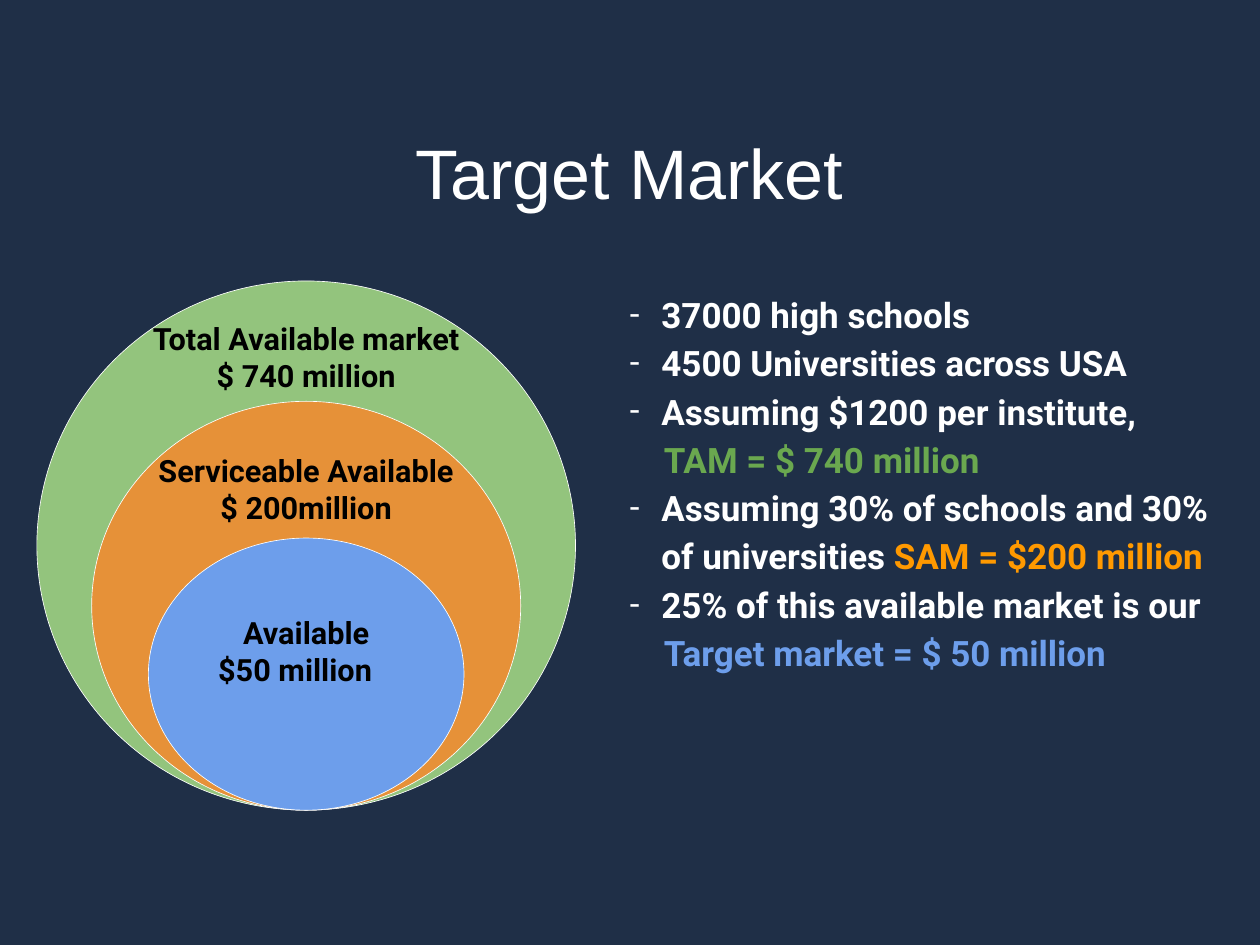
"""Build the Target Market slide with nested market circles and assumptions."""
from dataclasses import dataclass

from lxml import etree
from pptx import Presentation
from pptx import util as u
from pptx.dml.color import RGBColor
from pptx.enum import shapes, text
from pptx.oxml import ns

NAVY = RGBColor(0x1F, 0x2F, 0x47)
WHITE = RGBColor(0xFF, 0xFF, 0xFF)
BLACK = RGBColor(0, 0, 0)
LIGHT_GREEN = RGBColor(0x93, 0xC4, 0x7D)
DARK_ORANGE = RGBColor(0xE6, 0x91, 0x38)
BLUE = RGBColor(0x6D, 0x9E, 0xEB)
GREEN = RGBColor(0x6A, 0xA8, 0x4F)
ORANGE = RGBColor(0xFF, 0x99, 0x00)

CENTER_X = 4.86
RINGS_BOTTOM = 12.86
LEFT, CENTER = text.PP_ALIGN.LEFT, text.PP_ALIGN.CENTER


@dataclass(frozen=True)
class Ring:
    width: float
    height: float
    color: RGBColor


@dataclass(frozen=True)
class Run:
    text: str
    color: RGBColor = WHITE


@dataclass(frozen=True)
class Para:
    runs: tuple[Run, ...]
    align: text.PP_ALIGN = LEFT
    bullet: bool = False
    indent: float = 0
    spacing: float = 1.0


@dataclass(frozen=True)
class Label:
    top: float
    width: float
    paras: tuple[Para, ...]


def label_line(words: str, align: text.PP_ALIGN = CENTER) -> Para:
    return Para((Run(words, BLACK),), align)


def bullet(*runs: Run) -> Para:
    return Para(runs, bullet=True, indent=0.5, spacing=1.15)


def result(words: str, color: RGBColor) -> Para:
    return Para((Run(words, color),), indent=0.54, spacing=1.15)


RINGS = (
    Ring(8.55, 8.4, LIGHT_GREEN),
    Ring(6.81, 6.49, DARK_ORANGE),
    Ring(5.01, 4.32, BLUE),
)
LABELS = (
    Label(4.98, 5.69, (label_line("Total Available market\v$ 740 million"),)),
    Label(7.07, 5.01, (label_line("Serviceable Available $ 200million"),)),
    Label(9.64, 2.99, (label_line("Available"), label_line("$50 million", LEFT))),
)
ASSUMPTIONS = (
    bullet(Run("37000 high schools")),
    bullet(Run("4500 Universities across USA")),
    bullet(Run("Assuming $1200 per institute,")),
    result("TAM = $ 740 million", GREEN),
    bullet(
        Run("Assuming 30% of schools and 30% of universities "),
        Run("SAM = $200 million", ORANGE),
    ),
    bullet(Run("25% of this available market is our")),
    result("Target market = $ 50 million", BLUE),
)


def add_ring(s, ring: Ring) -> None:
    sp = s.shapes.add_shape(
        shapes.MSO_SHAPE.OVAL,
        u.Inches(CENTER_X - ring.width / 2),
        u.Inches(RINGS_BOTTOM - ring.height),
        u.Inches(ring.width),
        u.Inches(ring.height),
    )
    sp.shadow.inherit = False
    sp.fill.solid()
    sp.fill.fore_color.rgb = ring.color
    sp.line.color.rgb = WHITE
    sp.line.width = u.Pt(0.75)


def set_indent(p, para: Para) -> None:
    pPr = p._p.get_or_add_pPr()
    pPr.set("marL", str(u.Inches(para.indent)))
    pPr.set("indent", str(u.Inches(-para.indent if para.bullet else 0)))
    if para.bullet:
        color = etree.SubElement(pPr, ns.qn("a:buClr"))
        etree.SubElement(color, ns.qn("a:srgbClr"), val=str(WHITE))
        etree.SubElement(pPr, ns.qn("a:buFont"), typeface="Roboto")
        etree.SubElement(pPr, ns.qn("a:buChar"), char="-")


def add_text(
    s,
    box: tuple[float, float, float, float],
    paras: tuple[Para, ...],
    size: float,
    font: str = "Roboto",
    bold: bool = True,
    inset: float = 0.1,
    anchor: text.MSO_ANCHOR = text.MSO_ANCHOR.TOP,
) -> None:
    tf = s.shapes.add_textbox(*map(u.Inches, box)).text_frame
    tf.word_wrap = True
    tf.vertical_anchor = anchor
    tf.margin_left = tf.margin_right = u.Inches(inset)
    tf.margin_top = tf.margin_bottom = u.Inches(inset)
    for i, para in enumerate(paras):
        p = tf.add_paragraph() if i else tf.paragraphs[0]
        p.alignment = para.align
        p.line_spacing = para.spacing
        set_indent(p, para)
        for run in para.runs:
            for j, line in enumerate(run.text.split("\v")):
                if j:
                    p.add_line_break()
                r = p.add_run()
                r.text = line
                r.font.name = font
                r.font.size = u.Pt(size)
                r.font.bold = bold
                r.font.color.rgb = run.color


def main() -> None:
    prs = Presentation()
    prs.slide_width, prs.slide_height = u.Inches(20), u.Inches(15)
    s = prs.slides.add_slide(prs.slide_layouts[6])
    s.background.fill.solid()
    s.background.fill.fore_color.rgb = NAVY

    title = Para((Run("Target Market"),), CENTER)
    add_text(s, (4.64, 2.04, 10.71, 1.35), (title,), 80, "Arial",
             bold=False, inset=0, anchor=text.MSO_ANCHOR.MIDDLE)
    for ring in RINGS:
        add_ring(s, ring)
    for label in LABELS:
        left = CENTER_X - label.width / 2
        add_text(s, (left, label.top, label.width, 0.92), label.paras, 35)
    add_text(s, (9.9, 4.46, 9.78, 8.4), ASSUMPTIONS, 40)
    prs.save("out.pptx")


if __name__ == "__main__":
    main()
